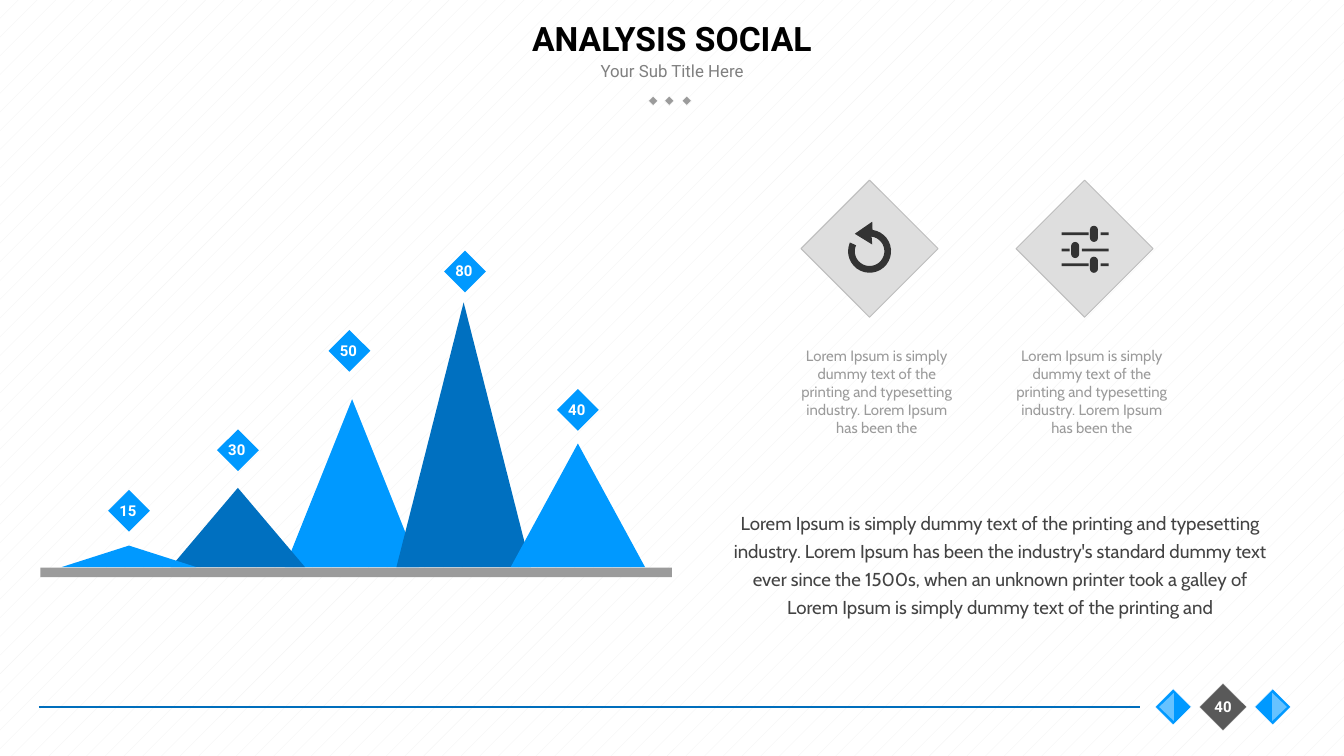
from math import cos, radians, sin

from lxml.etree import SubElement
from pptx import Presentation
from pptx.dml.color import RGBColor
from pptx.enum.dml import MSO_PATTERN
from pptx.enum.shapes import MSO_CONNECTOR, MSO_SHAPE
from pptx.enum.text import MSO_ANCHOR, PP_ALIGN
from pptx.oxml.ns import qn
from pptx.util import Inches, Pt

WHITE = RGBColor(0xFF, 0xFF, 0xFF)
BLACK = RGBColor(0x00, 0x00, 0x00)
PATTERN_GRAY = RGBColor(0xF2, 0xF2, 0xF2)
TILE_GRAY = RGBColor(0xDE, 0xDE, 0xDE)
TILE_EDGE = RGBColor(0xBD, 0xBD, 0xBD)
GRAY = RGBColor(0x9B, 0x9B, 0x9B)
SUBTITLE_GRAY = RGBColor(0x80, 0x80, 0x80)
NUMBER_GRAY = RGBColor(0x59, 0x59, 0x59)
BODY_GRAY = RGBColor(0x43, 0x43, 0x43)
ICON_GRAY = RGBColor(0x33, 0x33, 0x33)
BLUE = RGBColor(0x00, 0x99, 0xFF)
DARK_BLUE = RGBColor(0x00, 0x70, 0xC0)
LIGHT_BLUE = RGBColor(0x66, 0xC2, 0xFF)
RULE_BLUE = RGBColor(0x00, 0x6E, 0xBC)

presentation = Presentation()
presentation.slide_width = Inches(10)
presentation.slide_height = Inches(10) * 9 // 16
slide = presentation.slides.add_slide(presentation.slide_layouts[5])
shapes = slide.shapes

background = slide.background.fill
background.patterned()
background.pattern = MSO_PATTERN.PERCENT_5
background.fore_color.rgb = PATTERN_GRAY
background.back_color.rgb = WHITE


def add_centered(kind, x, y, width, height, color, edge=None, edge_width=0.25, rotation=0):
    """Add a filled preset shape whose middle is at x, y (inches)."""
    shape = shapes.add_shape(kind, Inches(x - width / 2), Inches(y - height / 2),
                             Inches(width), Inches(height))
    shape.shadow.inherit = False
    shape.rotation = rotation
    shape.fill.solid()
    shape.fill.fore_color.rgb = color
    if edge is None:
        shape.line.fill.background()
    else:
        shape.line.color.rgb = edge
        shape.line.width = Pt(edge_width)
    return shape


def write_text(shape, text, size, font, color, bold=False,
               align=PP_ALIGN.CENTER, anchor=MSO_ANCHOR.MIDDLE):
    frame = shape.text_frame
    frame.word_wrap = True
    frame.vertical_anchor = anchor
    frame.text = text
    paragraph = frame.paragraphs[0]
    paragraph.alignment = align
    run_font = paragraph.runs[0].font
    run_font.size = Pt(size)
    run_font.name = font
    run_font.bold = bold
    run_font.color.rgb = color
    return paragraph


# Heading
title = shapes.title
title.left, title.top = Inches(0.75), Inches(0)
title.width, title.height = Inches(8.5), Inches(0.56)
write_text(title, "ANALYSIS SOCIAL", 18, "Roboto", BLACK, bold=True)

subtitle = shapes.add_textbox(Inches(3.75), Inches(0.4), Inches(2.5), Inches(0.25))
write_text(subtitle, "Your Sub Title Here", 9, "Roboto", SUBTITLE_GRAY)

for x in (4.86, 4.98, 5.11):
    add_centered(MSO_SHAPE.RECTANGLE, x, 0.75, 0.05, 0.05, GRAY, WHITE, rotation=315)

# Footer
FOOTER_Y = 5.26
rule = shapes.add_connector(MSO_CONNECTOR.STRAIGHT, Inches(0.29), Inches(FOOTER_Y),
                            Inches(8.48), Inches(FOOTER_Y))
rule.line.color.rgb = RULE_BLUE
rule.line.width = Pt(0.75)
SubElement(rule.element.spPr, qn("a:effectLst"))

add_centered(MSO_SHAPE.RECTANGLE, 9.1, FOOTER_Y, 0.25, 0.25, NUMBER_GRAY, WHITE, rotation=315)
for x, direction in ((8.73, -1), (9.47, 1)):
    add_centered(MSO_SHAPE.RECTANGLE, x, FOOTER_Y, 0.19, 0.19, BLUE, WHITE, rotation=315)
    add_centered(MSO_SHAPE.FLOWCHART_EXTRACT, x + direction * 0.05, FOOTER_Y, 0.21, 0.11,
                 LIGHT_BLUE, rotation=direction * 90)
number = shapes.add_textbox(Inches(8.89), Inches(5.13), Inches(0.42), Inches(0.25))
write_text(number, "40", 8, "Roboto", WHITE, bold=True)

# Mountain chart, from back to front
BASE_Y = 4.22
add_centered(MSO_SHAPE.RECTANGLE, 2.65, BASE_Y + 0.04, 4.7, 0.07, GRAY)
peaks = [
    # value, middle x, height, badge x, badge y, color
    ("50", 2.62, 1.25, 2.6, 2.61, BLUE),
    ("80", 3.45, 1.97, 3.46, 2.02, DARK_BLUE),
    ("40", 4.3, 0.92, 4.3, 3.05, BLUE),
    ("30", 1.77, 0.59, 1.77, 3.35, DARK_BLUE),
    ("15", 0.96, 0.16, 0.96, 3.8, BLUE),
]
for value, x, height, badge_x, badge_y, color in peaks:
    add_centered(MSO_SHAPE.ISOSCELES_TRIANGLE, x, BASE_Y - height / 2, 1, height, color)
    add_centered(MSO_SHAPE.RECTANGLE, badge_x, badge_y, 0.22, 0.22, BLUE, rotation=225)
    label = shapes.add_textbox(Inches(badge_x - 0.17), Inches(badge_y - 0.12),
                               Inches(0.34), Inches(0.24))
    write_text(label, value, 8, "Roboto", WHITE, bold=True,
               align=PP_ALIGN.LEFT, anchor=MSO_ANCHOR.TOP)

# Icon tiles with captions
CAPTION = ("Lorem Ipsum is simply dummy text of the printing and typesetting industry. "
           "Lorem Ipsum has been the")
for tile_x, caption_left in ((6.47, 5.81), (8.07, 7.41)):
    add_centered(MSO_SHAPE.DIAMOND, tile_x, 1.85, 1.02, 1.02, TILE_GRAY, TILE_EDGE, 0.5)
    caption = shapes.add_textbox(Inches(caption_left), Inches(2.53), Inches(1.43), Inches(0.77))
    write_text(caption, CAPTION, 8, "Cabin", GRAY, anchor=MSO_ANCHOR.TOP)

# Reload icon: arrowhead followed by an open ring
ring = [(radius, angle)
        for radius, angles in ((0.16, range(-82, 205, 11)), (0.11, range(204, -83, -11)))
        for angle in angles]
outline = [(6.36, 1.74), (6.49, 1.65)]
outline += [(6.47 + radius * cos(radians(angle)), 1.87 + radius * sin(radians(angle)))
            for radius, angle in ring]
outline.append((6.49, 1.82))
points = [(Inches(x), Inches(y)) for x, y in outline]
builder = shapes.build_freeform(*points[0])
builder.add_line_segments(points[1:], close=True)
reload_arrow = builder.convert_to_shape()
reload_arrow.shadow.inherit = False
reload_arrow.fill.solid()
reload_arrow.fill.fore_color.rgb = ICON_GRAY
reload_arrow.line.fill.background()

# Sliders icon: a knob on each track, with a gap around it
for knob_x, y in ((8.14, 1.74), (8, 1.86), (8.14, 1.97)):
    knob = add_centered(MSO_SHAPE.ROUNDED_RECTANGLE, knob_x, y, 0.06, 0.12, ICON_GRAY)
    knob.adjustments[0] = 0.5
    for start, end in ((7.9, knob_x - 0.04), (knob_x + 0.05, 8.25)):
        add_centered(MSO_SHAPE.RECTANGLE, (start + end) / 2, y, end - start, 0.02, ICON_GRAY)

# Body text
body = shapes.add_textbox(Inches(5.34), Inches(3.72), Inches(4.2), Inches(0.94))
body_paragraph = write_text(
    body,
    "Lorem Ipsum is simply dummy text of the printing and typesetting industry. "
    "Lorem Ipsum has been the industry's standard dummy text ever since the 1500s, "
    "when an unknown printer took a galley of Lorem Ipsum is simply dummy text "
    "of the printing and",
    10, "Cabin", BODY_GRAY, anchor=MSO_ANCHOR.TOP)
body_paragraph.line_spacing = Pt(15)

presentation.save("out.pptx")
